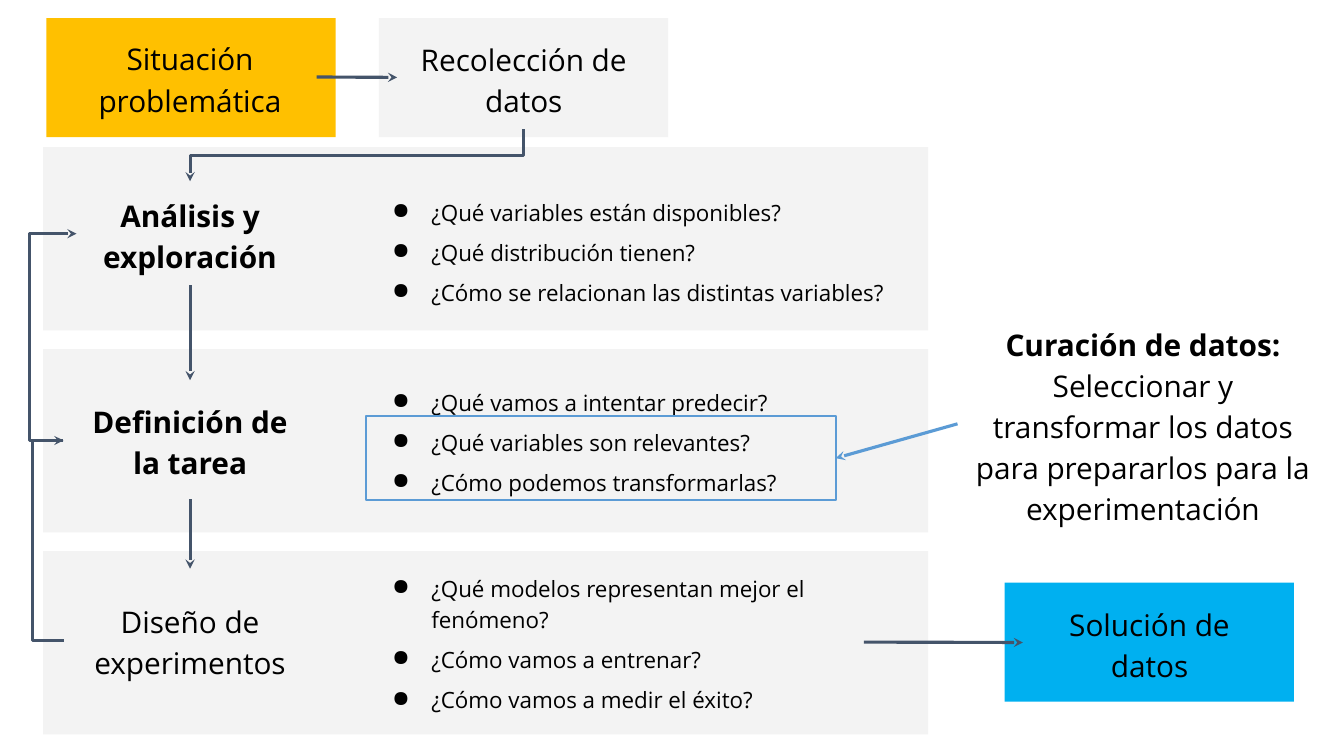
"""Builds the slide that shows the workflow of a data project."""
from lxml.etree import SubElement
from pptx import Presentation
from pptx.dml.color import RGBColor
from pptx.enum.shapes import MSO_CONNECTOR as CONN, MSO_SHAPE as SHAPE
from pptx.enum.text import MSO_ANCHOR as ANCHOR, PP_ALIGN as ALIGN
from pptx.oxml.ns import qn
from pptx.util import Cm, Pt

BLACK = RGBColor(0x00, 0x00, 0x00)
AMBER = RGBColor(0xFF, 0xC0, 0x00)
GREY = RGBColor(0xF3, 0xF3, 0xF3)
CYAN = RGBColor(0x00, 0xB0, 0xF0)
SLATE = RGBColor(0x44, 0x54, 0x6A)
BLUE = RGBColor(0x5B, 0x9B, 0xD5)
TOP, LEFT, BOTTOM, RIGHT = range(4)


class FlowSlide:
    """Holds the style and the current slide."""
    font = "Open Sans"
    label_size = Pt(21.3)
    list_size = Pt(16)
    gap = Pt(6.7)
    inset = Cm(0.33)

    def __init__(self, prs):
        self.shapes = prs.slides.add_slide(prs.slide_layouts[6]).shapes

    def rect(self, x, y, w, h, fill=None, line=None):
        sp = self.shapes.add_shape(SHAPE.RECTANGLE, Cm(x), Cm(y), Cm(w), Cm(h))
        sp.shadow.inherit = False
        if fill is None:
            sp.fill.background()
        else:
            sp.fill.solid()
            sp.fill.fore_color.rgb = fill
        if line is None:
            sp.line.fill.background()
        else:
            sp.line.color.rgb = line
            sp.line.width = Pt(1.5)
        return sp

    def box(self, x, y, w, h):
        sp = self.shapes.add_textbox(Cm(x), Cm(y), Cm(w), Cm(h))
        tf = sp.text_frame
        tf.word_wrap = True
        tf.vertical_anchor = ANCHOR.MIDDLE
        tf.margin_left = tf.margin_right = self.inset
        tf.margin_top = tf.margin_bottom = self.inset
        return sp

    def paragraph(self, tf, i, text, size, bold=False):
        p = tf.add_paragraph() if i else tf.paragraphs[0]
        p.line_spacing = 1.15
        r = p.add_run()
        r.text = text
        r.font.name = self.font
        r.font.size = size
        r.font.bold = bold
        r.font.color.rgb = BLACK
        return p

    def label(self, x, y, w, h, *parts):
        sp = self.box(x, y, w, h)
        for i, (text, bold) in enumerate(parts):
            p = self.paragraph(sp.text_frame, i, text, self.label_size, bold)
            p.alignment = ALIGN.CENTER
        return sp

    def questions(self, x, y, w, h, items):
        sp = self.box(x, y, w, h)
        for i, text in enumerate(items):
            p = self.paragraph(sp.text_frame, i, text, self.list_size)
            if i:
                p.space_before = self.gap
            if i == len(items) - 1:
                p.space_after = self.gap
            pPr = p._p.get_or_add_pPr()
            pPr.set("marL", str(Cm(0.99)))
            pPr.set("indent", str(Cm(-1.12)))
            SubElement(pPr, qn("a:buChar")).set("char", "●")
        return sp

    def connector(self, kind, x1, y1, x2, y2, color, arrow="tailEnd"):
        cn = self.shapes.add_connector(kind, Cm(x1), Cm(y1), Cm(x2), Cm(y2))
        cn.line.color.rgb = color
        cn.line.width = Pt(2.25)
        spPr = cn._element.spPr
        SubElement(spPr.get_or_add_ln(), qn("a:" + arrow)).set("type", "stealth")
        SubElement(spPr, qn("a:effectLst"))
        return cn

    def arrow(self, source, out_side, target, in_side, color=SLATE):
        cn = self.connector(CONN.STRAIGHT, 0, 0, 1, 1, color)
        cn.begin_connect(source, out_side)
        cn.end_connect(target, in_side)

    def side_elbow(self, x1, y1, x2, y2, via, arrow):
        cn = self.connector(CONN.ELBOW, x1, y1, x2, y2, SLATE, arrow)
        share = round((via - x1) / (x2 - x1) * 100000)
        guide = SubElement(next(cn._element.iter(qn("a:avLst"))), qn("a:gd"))
        guide.set("name", "adj1")
        guide.set("fmla", f"val {share}")

    def down_elbow(self, x1, y1, x2, y2):
        cx, cy = (x1 + x2) / 2, (y1 + y2) / 2
        dx, dy = (x1 - x2) / 2, (y2 - y1) / 2
        cn = self.connector(CONN.ELBOW, cx - dy, cy - dx, cx + dy, cy + dx, SLATE)
        cn._element.spPr.xfrm.set("rot", str(90 * 60000))


def main():
    prs = Presentation()
    prs.slide_width, prs.slide_height = Cm(33.87), Cm(19.05)
    s = FlowSlide(prs)

    for x, y, fill in ((1.17, 0.46, AMBER), (9.55, 0.46, GREY), (25.32, 14.68, CYAN)):
        s.rect(x, y, 7.29, 3, fill)
    for i in range(3):
        s.rect(1.09, 3.71 + 5.09 * i, 22.3, 4.62, GREY)

    problem = s.label(1.6, 0.15, 6.38, 3.58, ("Situación problemática", False))
    collection = s.label(10.01, 0.64, 6.38, 2.62, ("Recolección de datos", False))
    analysis = s.label(1.93, 4.57, 5.72, 2.62, ("Análisis y exploración", True))
    task = s.label(1.6, 9.58, 6.38, 3, ("Definición de la tarea", True))
    design = s.label(1.6, 14.33, 6.38, 3.58, ("Diseño de experimentos", False))
    solution = s.label(25.78, 14.4, 6.38, 3.58, ("Solución de datos", False))
    curation = s.label(
        24.13, 8.89, 9.35, 3.58,
        ("Curación de datos:", True),
        ("Seleccionar y transformar los datos para prepararlos para la "
         "experimentación", False))

    s.questions(9.55, 4.42, 13.21, 3.78, (
        "¿Qué variables están disponibles?",
        "¿Qué distribución tienen?",
        "¿Cómo se relacionan las distintas variables?"))
    s.questions(9.55, 8.71, 13.84, 4.78, (
        "¿Qué vamos a intentar predecir?",
        "¿Qué variables son relevantes?",
        "¿Cómo podemos transformarlas?"))
    experiments = s.questions(9.55, 13.79, 12.22, 4.78, (
        "¿Qué modelos representan mejor el fenómeno?",
        "¿Cómo vamos a entrenar?",
        "¿Cómo vamos a medir el éxito?"))
    focus = s.rect(9.22, 10.49, 11.84, 2.11, line=BLUE)

    s.arrow(problem, RIGHT, collection, LEFT)
    s.arrow(analysis, BOTTOM, task, TOP)
    s.arrow(task, BOTTOM, design, TOP)
    s.arrow(experiments, RIGHT, solution, LEFT)
    s.arrow(curation, LEFT, focus, RIGHT, BLUE)
    s.down_elbow(13.2, 3.26, 4.79, 4.57)
    s.side_elbow(1.6, 11.1, 1.93, 5.89, 0.74, "tailEnd")
    s.side_elbow(1.6, 11.1, 1.61, 16.13, 0.81, "headEnd")

    prs.save("out.pptx")


if __name__ == "__main__":
    main()
